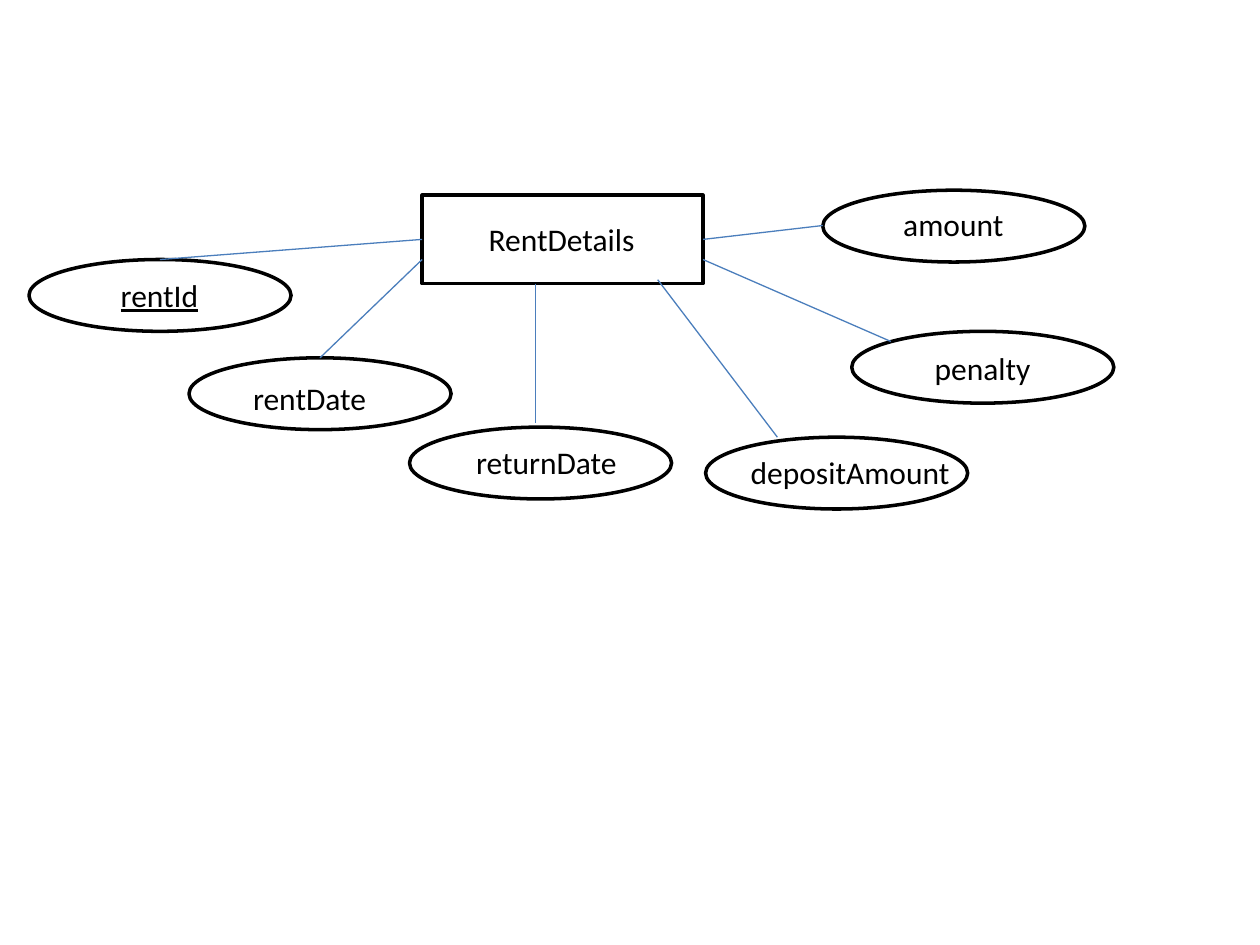
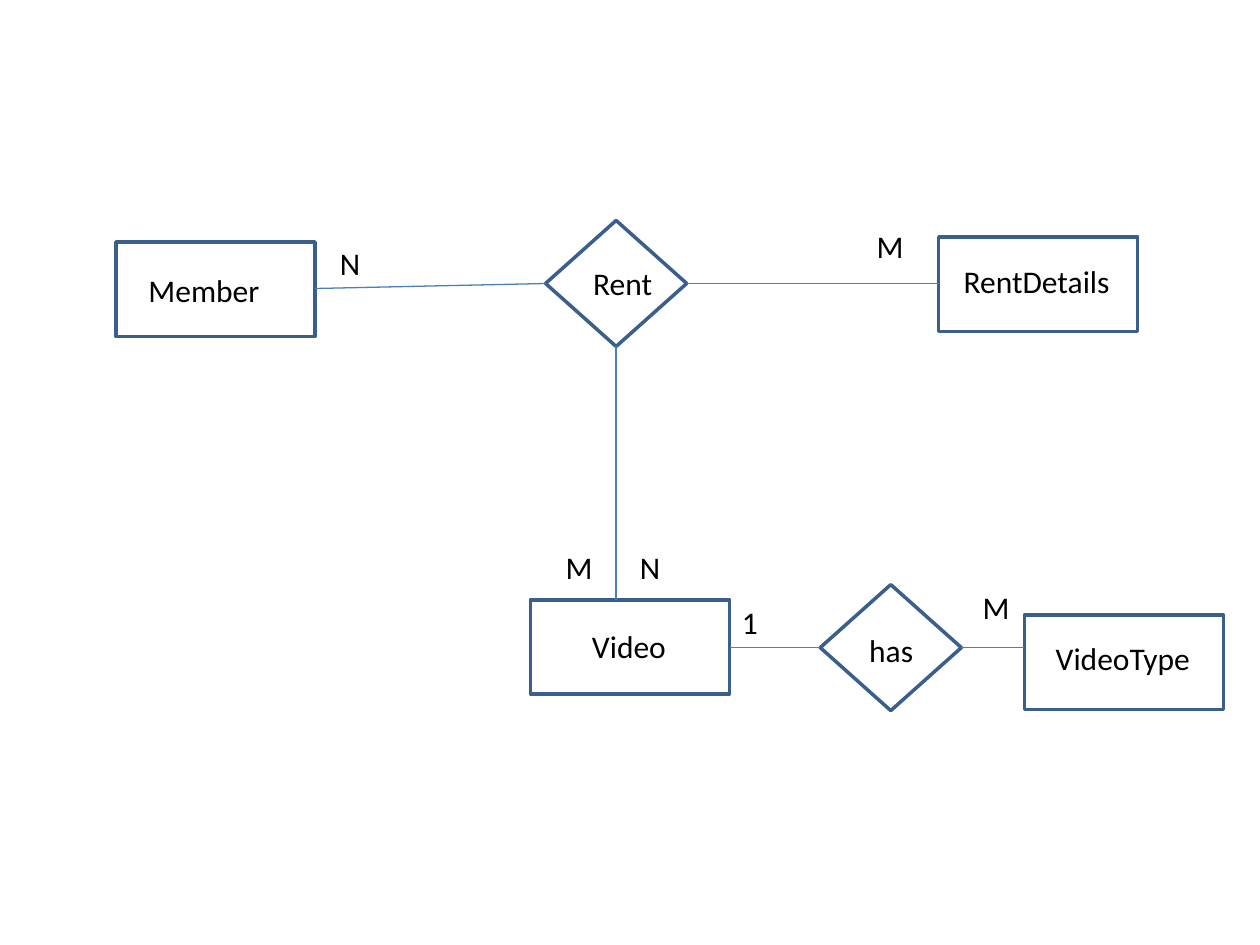
from lxml.etree import SubElement
from pptx import Presentation
from pptx.dml.color import RGBColor
from pptx.enum.shapes import MSO_CONNECTOR as Connector, MSO_SHAPE as Preset
from pptx.oxml.ns import qn
from pptx.util import Inches, Pt

COLORS = {"black": "000000", "outline": "3A5F8C", "link": "4B7EBC"}
FONT = {"name": "Calibri", "size": Pt(18)}
LABEL_HEIGHT = 0.4
BLANK_LAYOUT = 6

# Width and height of each kind of node
SIZES = {
    "main entity": (Preset.RECTANGLE, 2.23, 0.7),
    "attribute": (Preset.OVAL, 2.08, 0.57),
    "entity": (Preset.RECTANGLE, 1.58, 0.75),
    "relation": (Preset.DIAMOND, 1.12, 1),
}

# Nodes: kind, text, node left and top, label left, top and width
# Links: start x and y, end x and y
# Marks: text, left, top, width
DIAGRAMS = [
    {
        "outline": "black",
        "key": "rentId",
        "nodes": [
            ("main entity", "RentDetails", (3.35, 1.55), (3.78, 1.7, 1.37)),
            ("attribute", "rentId", (0.23, 2.06), (0.86, 2.14, 0.82)),
            ("attribute", "rentDate", (1.5, 2.84), (1.91, 2.96, 1.11)),
            ("attribute", "returnDate", (3.25, 3.39), (3.68, 3.47, 1.33)),
            ("attribute", "depositAmount", (5.6, 3.47), (5.86, 3.55, 1.8)),
            ("attribute", "penalty", (6.76, 2.63), (7.32, 2.72, 0.97)),
            ("attribute", "amount", (6.53, 1.51), (7.07, 1.58, 1.01)),
        ],
        "links": [
            (3.35, 1.9, 1.27, 2.06),
            (3.35, 2.06, 2.54, 2.84),
            (4.25, 2.25, 4.25, 3.36),
            (5.22, 2.22, 6.17, 3.47),
            (5.58, 2.06, 7.07, 2.71),
            (5.58, 1.9, 6.53, 1.79),
        ],
        "marks": [],
    },
    {
        "outline": "outline",
        "key": None,
        "nodes": [
            ("entity", "Member", (0.92, 1.92), (1.08, 2.1, 1.09)),
            ("relation", "Rent", (4.33, 1.75), (4.61, 2.05, 0.68)),
            ("entity", "RentDetails", (7.45, 1.88), (7.55, 2.03, 1.37)),
            ("entity", "Video", (4.21, 4.76), (4.6, 4.93, 0.8)),
            ("relation", "has", (6.51, 4.64), (6.8, 4.96, 0.55)),
            ("entity", "VideoType", (8.13, 4.88), (8.28, 5.02, 1.28)),
        ],
        "links": [
            (2.5, 2.29, 4.33, 2.25),
            (5.45, 2.25, 7.45, 2.25),
            (4.89, 4.76, 4.89, 2.75),
            (5.79, 5.14, 6.51, 5.14),
            (7.63, 5.14, 8.13, 5.14),
        ],
        "marks": [
            ("N", 2.6, 1.89, 0.36),
            ("M", 6.86, 1.75, 0.42),
            ("M", 4.39, 4.3, 0.42),
            ("N", 4.98, 4.3, 0.36),
            ("1", 5.79, 4.74, 0.32),
            ("M", 7.7, 4.62, 0.42),
        ],
    },
]


def color(name):
    return RGBColor.from_string(COLORS[name])


def add_node(page, kind, left, top, outline):
    preset, width, height = SIZES[kind]
    node = page.shapes.add_shape(preset, *map(Inches, (left, top, width, height)))
    node.shadow.inherit = False
    node.fill.background()
    node.line.color.rgb = color(outline)
    node.line.width = Pt(2)


def add_link(page, ends):
    link = page.shapes.add_connector(Connector.STRAIGHT, *map(Inches, ends))
    link.line.color.rgb = color("link")
    link.line.width = Pt(0.75)
    SubElement(link._element.spPr, qn("a:effectLst"))


def add_label(page, text, left, top, width, underline=False):
    box = page.shapes.add_textbox(*map(Inches, (left, top, width, LABEL_HEIGHT)))
    box.text_frame.word_wrap = False
    span = box.text_frame.paragraphs[0].add_run()
    span.text = text
    for name, value in FONT.items():
        setattr(span.font, name, value)
    span.font.color.rgb = color("black")
    if underline:
        span.font.underline = True


def add_diagram(deck, diagram):
    page = deck.slides.add_slide(deck.slide_layouts[BLANK_LAYOUT])
    # Outlines, then links, then wording on top
    for kind, _, corner, _ in diagram["nodes"]:
        add_node(page, kind, *corner, diagram["outline"])
    for ends in diagram["links"]:
        add_link(page, ends)
    for _, text, _, place in diagram["nodes"]:
        add_label(page, text, *place, underline=text == diagram["key"])
    for mark in diagram["marks"]:
        add_label(page, *mark)


def main():
    deck = Presentation()
    deck.slide_width, deck.slide_height = Inches(10), Inches(7.5)
    for diagram in DIAGRAMS:
        add_diagram(deck, diagram)
    deck.save("out.pptx")


if __name__ == "__main__":
    main()
